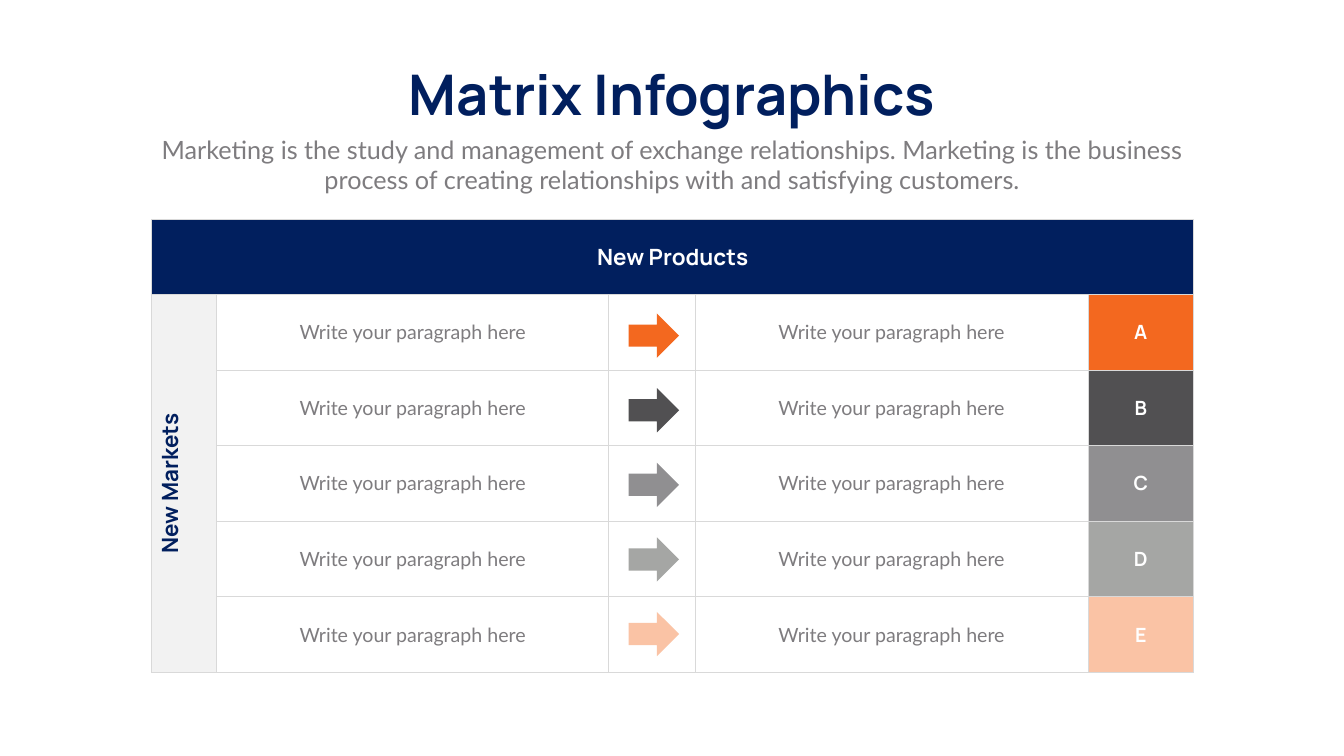
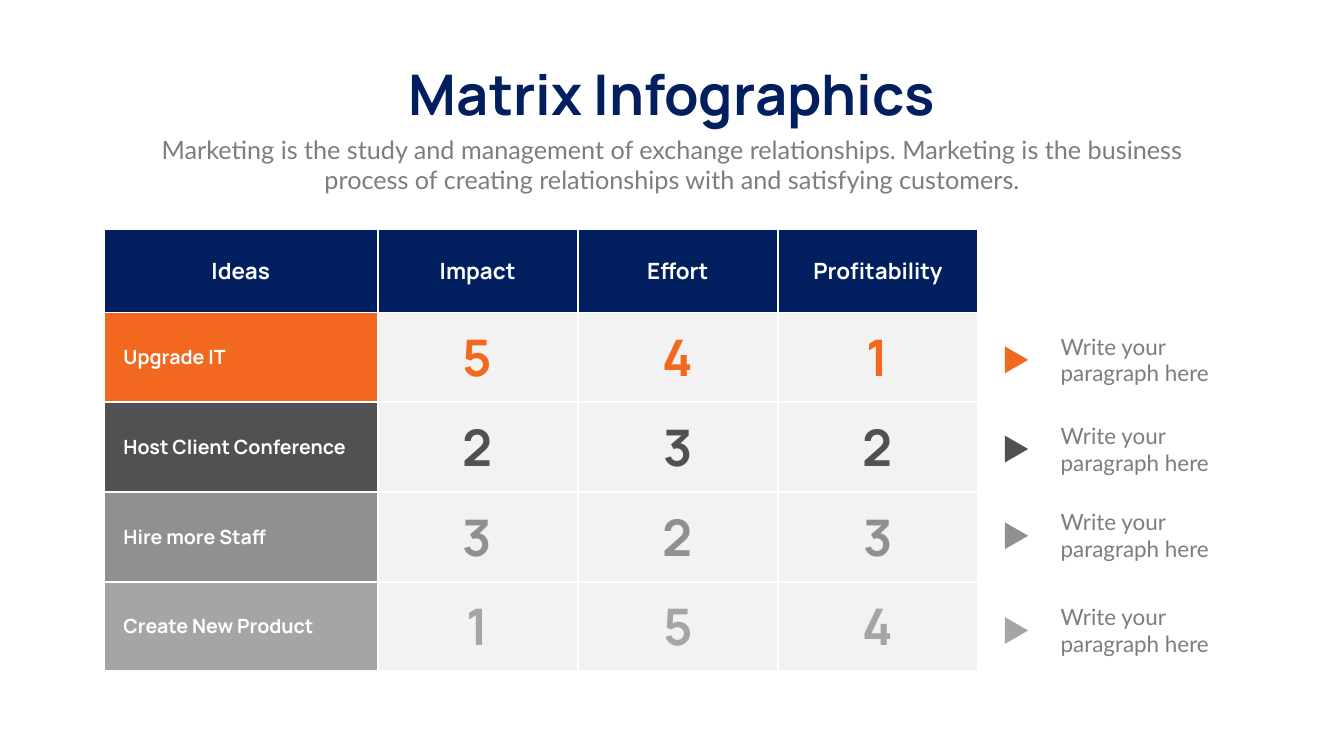
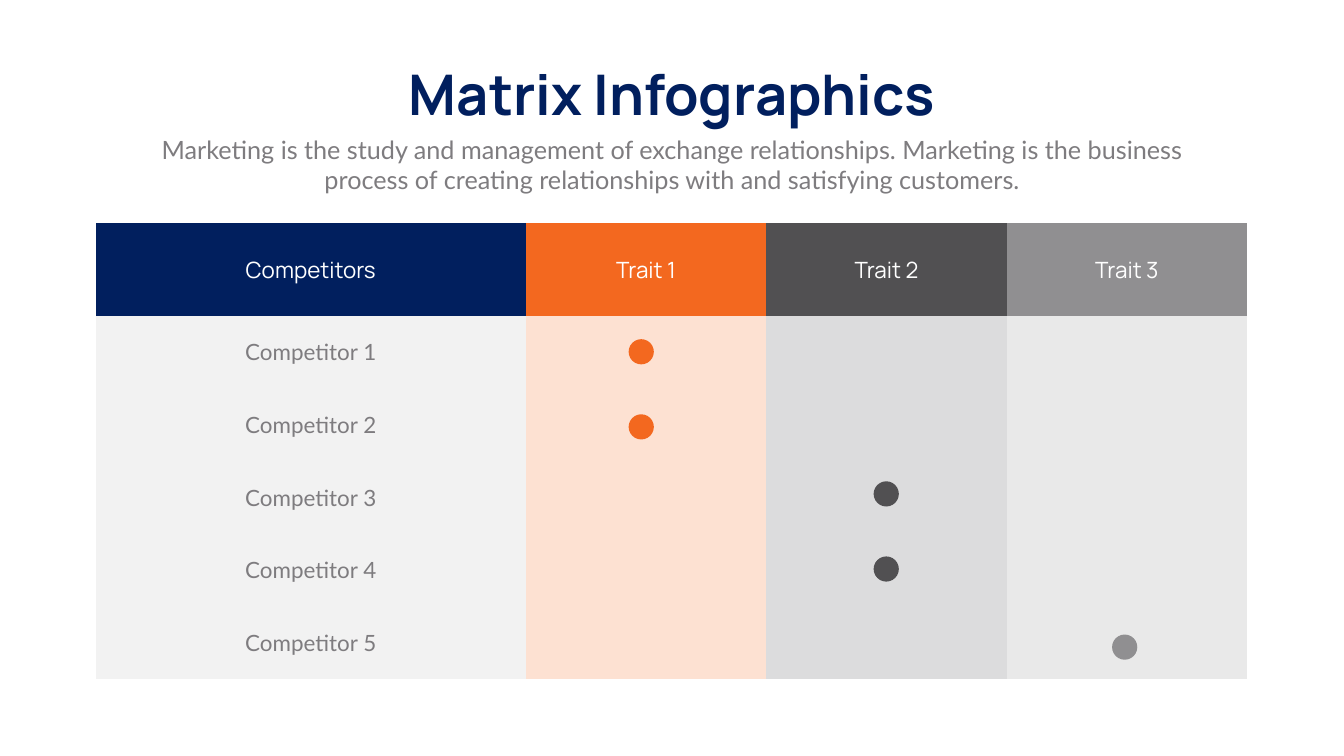
from lxml.etree import SubElement
from pptx import Presentation
from pptx.dml.color import RGBColor
from pptx.enum.shapes import MSO_SHAPE as Shape
from pptx.enum.text import MSO_ANCHOR as Anchor, MSO_AUTO_SIZE as AutoSize, PP_ALIGN as Align
from pptx.oxml.ns import qn
from pptx.util import Inches, Pt

NAVY = RGBColor(0x01, 0x1F, 0x5E)
ORANGE = RGBColor(0xF3, 0x68, 0x1F)
CHARCOAL = RGBColor(0x51, 0x50, 0x52)
GRAY = RGBColor(0x90, 0x8F, 0x91)
SILVER = RGBColor(0xA5, 0xA6, 0xA4)
PEACH = RGBColor(0xFA, 0xC3, 0xA5)
TEXT_GRAY = RGBColor(0x7E, 0x7C, 0x7F)
BORDER_GRAY = RGBColor(0xD9, 0xD9, 0xD9)
PALE_GRAY = RGBColor(0xF2, 0xF2, 0xF2)
WHITE = RGBColor(0xFF, 0xFF, 0xFF)
TINTS = [RGBColor(0xFD, 0xE1, 0xD2), RGBColor(0xDC, 0xDC, 0xDD), RGBColor(0xE9, 0xE9, 0xE9)]
ROW_COLORS = [ORANGE, CHARCOAL, GRAY, SILVER, PEACH]

HEADING = "Manrope"
BODY = "Lato"
PLAIN_TABLE_STYLE = "{2D5ABB26-0587-4C30-8999-92F81FD0307C}"
HEADER_INSETS = (0.14, 0.07, 0.14, 0.07)
MARGINS = ("margin_left", "margin_top", "margin_right", "margin_bottom")

TITLE = "Matrix Infographics"
SUBTITLE = ("Marketing is the study and management of exchange relationships. "
            "Marketing is the business process of creating relationships with "
            "and satisfying customers.")
PLACEHOLDER_TEXT = "Write your paragraph here"


def write(text_frame, text, size, color, font=BODY, bold=False, align=Align.CENTER):
    text_frame.text = text
    paragraph = text_frame.paragraphs[0]
    paragraph.alignment = align
    for name, value in {"name": font, "size": Pt(size), "bold": bold}.items():
        setattr(paragraph.runs[0].font, name, value)
    paragraph.runs[0].font.color.rgb = color


def set_box(shape, left, top, width, height):
    for name, value in {"left": left, "top": top, "width": width, "height": height}.items():
        setattr(shape, name, Inches(value))


def add_text(slide, box, text, size, align=Align.CENTER):
    shape = slide.shapes.add_textbox(*map(Inches, box))
    shape.text_frame.word_wrap = True
    shape.text_frame.auto_size = AutoSize.SHAPE_TO_FIT_TEXT
    write(shape.text_frame, text, size, TEXT_GRAY, align=align)


def add_titled_slide(presentation):
    slide = presentation.slides.add_slide(presentation.slide_layouts[5])
    title = slide.shapes.title
    set_box(title, 7.57, 1.14, 11.53, 1.45)
    write(title.text_frame, TITLE, 80, NAVY, HEADING, True)
    formats = {"word_wrap": False, "auto_size": AutoSize.SHAPE_TO_FIT_TEXT,
               "vertical_anchor": Anchor.TOP}
    for name, value in formats.items():
        setattr(title.text_frame, name, value)
    add_text(slide, (2.92, 2.61, 20.82, 1.31), SUBTITLE, 36)
    return slide


def add_marker(slide, kind, box, color, rotation=0):
    shape = slide.shapes.add_shape(kind, *map(Inches, box))
    shape.shadow.inherit = False
    shape.fill.solid()
    shape.fill.fore_color.rgb = color
    shape.line.fill.background()
    shape.rotation = rotation


def add_plain_table(slide, left, top, widths, heights):
    frame = slide.shapes.add_table(len(heights), len(widths), Inches(left), Inches(top),
                                   Inches(sum(widths)), Inches(sum(heights)))
    frame.element.find(".//" + qn("a:tableStyleId")).text = PLAIN_TABLE_STYLE
    table = frame.table
    table.first_row = table.horz_banding = False
    for column, width in zip(table.columns, widths):
        column.width = Inches(width)
    for row, height in zip(table.rows, heights):
        row.height = Inches(height)
    return table


def fill_cell(cell, fill, text="", size=28, color=WHITE, insets=None, **text_format):
    cell.fill.solid()
    cell.fill.fore_color.rgb = fill
    cell.vertical_anchor = Anchor.MIDDLE
    if insets:
        for name, value in zip(MARGINS, insets):
            setattr(cell, name, Inches(value))
    if text:
        write(cell.text_frame, text, size, color, **text_format)


def add_borders(table, color, width):
    for cell in table.iter_cells():
        properties = cell._tc.get_or_add_tcPr()
        for index, side in enumerate(("lnL", "lnR", "lnT", "lnB")):
            line = SubElement(properties, qn(f"a:{side}"), w=str(Pt(width)))
            SubElement(SubElement(line, qn("a:solidFill")), qn("a:srgbClr"), val=str(color))
            properties.insert(index, line)


def build_market_matrix(presentation):
    slide = add_titled_slide(presentation)
    table = add_plain_table(slide, 3.01, 4.36, [1.29, 7.77, 1.72, 7.79, 2.1], [1.48] + [1.5] * 5)
    table.cell(0, 0).merge(table.cell(0, 4))
    table.cell(1, 0).merge(table.cell(5, 0))
    fill_cell(table.cell(0, 0), NAVY, "New Products", 32, font=HEADING, bold=True)
    markets = table.cell(1, 0)
    fill_cell(markets, PALE_GRAY, "New Markets", 32, NAVY, font=HEADING, bold=True)
    markets._tc.get_or_add_tcPr().set("vert", "vert270")
    for row, (letter, color) in enumerate(zip("ABCDE", ROW_COLORS), start=1):
        for column, text in enumerate((PLACEHOLDER_TEXT, "", PLACEHOLDER_TEXT), start=1):
            fill_cell(table.cell(row, column), WHITE, text, color=TEXT_GRAY)
        fill_cell(table.cell(row, 4), color, letter, font=HEADING, bold=True)
        add_marker(slide, Shape.RIGHT_ARROW, (12.47, 6.22 + 1.48 * (row - 1), 1, 0.88), color)
    add_borders(table, BORDER_GRAY, 1)


def build_idea_matrix(presentation):
    ideas = [("Upgrade IT", "541", 6.55), ("Host Client Conference", "232", 8.32),
             ("Hire more Staff", "323", 10.04), ("Create New Product", "154", 11.92)]
    heading = {"font": HEADING, "bold": True}
    slide = add_titled_slide(presentation)
    table = add_plain_table(slide, 2.06, 4.55, [5.43] + [3.97] * 3, [1.65] + [1.78] * 4)
    for column, text in enumerate(("Ideas", "Impact", "Effort", "Profitability")):
        fill_cell(table.cell(0, column), NAVY, text, 32, insets=HEADER_INSETS, **heading)
    for row, ((idea, scores, note_top), color) in enumerate(zip(ideas, ROW_COLORS), start=1):
        fill_cell(table.cell(row, 0), color, idea, insets=(0.39, 0.05, 0.1, 0.05),
                  align=Align.LEFT, **heading)
        for column, score in enumerate(scores, start=1):
            fill_cell(table.cell(row, column), PALE_GRAY, score, 72, color, **heading)
        add_text(slide, (20.94, note_top, 3.64, 1.18), PLACEHOLDER_TEXT, 32, Align.LEFT)
        add_marker(slide, Shape.ISOSCELES_TRIANGLE, (19.9, note_top + 0.36, 0.53, 0.46), color, 90)
    add_borders(table, WHITE, 3)


def build_competitor_matrix(presentation):
    headers = zip(("Competitors", "Trait 1", "Trait 2", "Trait 3"), (NAVY, ORANGE, CHARCOAL, GRAY))
    dots = [(12.47, 6.73, ORANGE), (12.47, 8.22, ORANGE), (17.33, 9.55, CHARCOAL),
            (17.33, 11.04, CHARCOAL), (22.06, 12.59, GRAY)]
    slide = add_titled_slide(presentation)
    table = add_plain_table(slide, 1.9, 4.43, [8.53] + [4.77] * 3, [1.84] + [1.44] * 5)
    for column, (text, color) in enumerate(headers):
        fill_cell(table.cell(0, column), color, text, 32, insets=HEADER_INSETS, font=HEADING)
    for row, (left, top, color) in enumerate(dots, start=1):
        fill_cell(table.cell(row, 0), PALE_GRAY, f"Competitor {row}", 32, TEXT_GRAY,
                  insets=(0, 0.05, 0, 0.05))
        for column, tint in enumerate(TINTS, start=1):
            fill_cell(table.cell(row, column), tint)
        add_marker(slide, Shape.FLOWCHART_CONNECTOR, (left, top, 0.5, 0.5), color)


def main():
    presentation = Presentation()
    presentation.slide_width = Inches(26.66)
    presentation.slide_height = Inches(15)
    build_market_matrix(presentation)
    build_idea_matrix(presentation)
    build_competitor_matrix(presentation)
    presentation.save("out.pptx")


if __name__ == "__main__":
    main()
